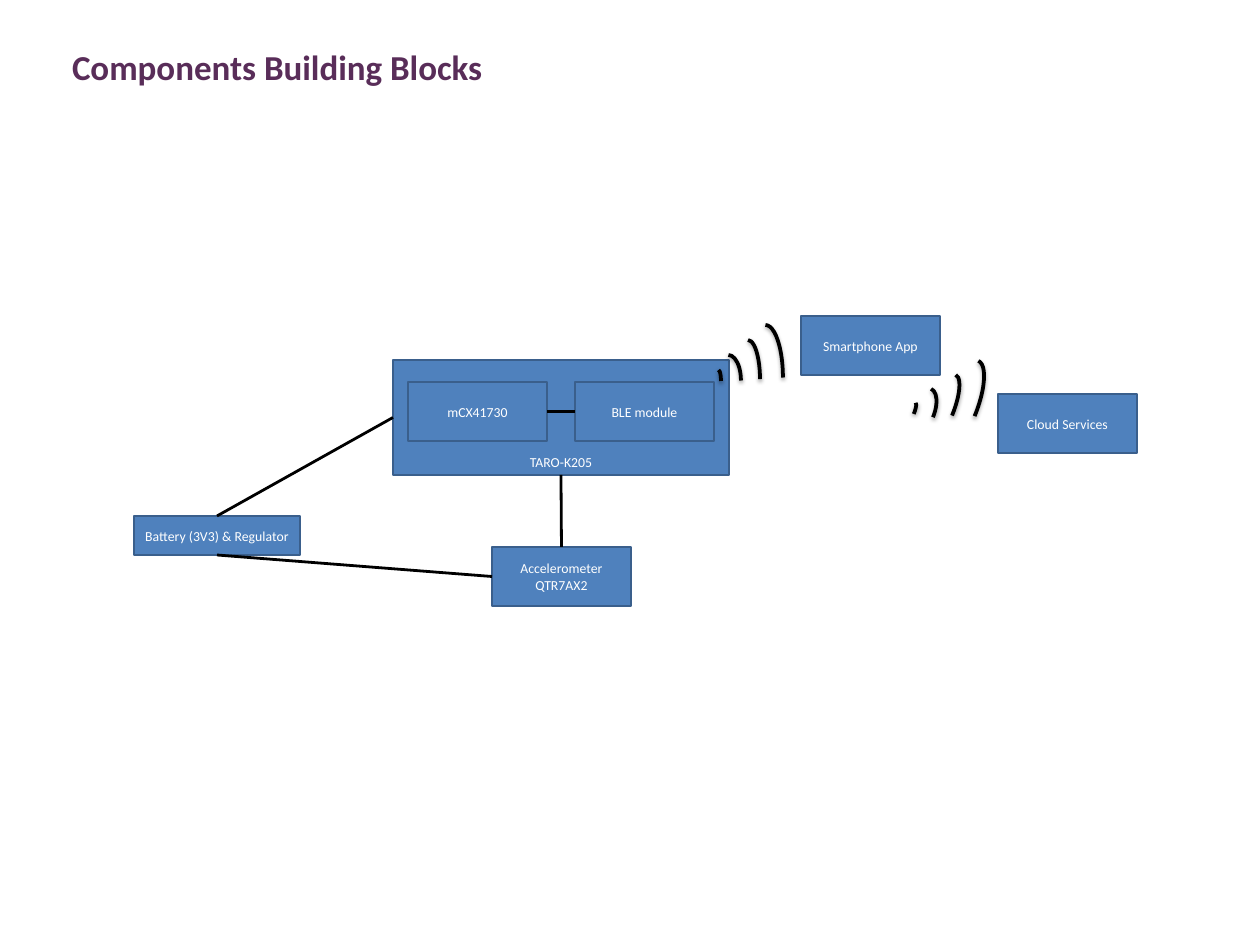
from lxml.etree import SubElement
from pptx import Presentation
from pptx.dml.color import RGBColor
from pptx.enum.shapes import MSO_CONNECTOR, MSO_SHAPE
from pptx.enum.text import MSO_ANCHOR, MSO_AUTO_SIZE, PP_ALIGN
from pptx.oxml.ns import qn
from pptx.util import Emu, Pt

PX = 914400 // 90
FONT = "Calibri"
COLORS = {
    "title": "592D59",
    "block": "4F81BD",
    "border": "3A5F8C",
    "label": "FFFFFF",
    "line": "000000",
}
BLOCK_SIZE = (139, 59)
TOP, LEFT, BOTTOM, RIGHT = range(4)
# Left, top, width and height of each arc within its signal
SIGNAL_ARCS = [(0, 45, 5, 22), (0, 30, 25, 51), (20, 15, 24, 78), (32, 0, 35, 105)]


def px(*lengths):
    return [Emu(length * PX) for length in lengths]


def color(name):
    return RGBColor.from_string(COLORS[name])


def format_text(text_frame, size, color_name, alignment, bold=False):
    for paragraph in text_frame.paragraphs:
        paragraph.alignment = alignment
        for run in paragraph.runs:
            run.font.name = FONT
            run.font.size = Pt(size)
            run.font.bold = bold
            run.font.color.rgb = color(color_name)


def add_title(slide, box, text):
    title = slide.shapes.title
    title.left, title.top, title.width, title.height = px(*box)
    text_frame = title.text_frame
    text_frame.text = text
    text_frame.word_wrap = True
    text_frame.auto_size = MSO_AUTO_SIZE.SHAPE_TO_FIT_TEXT
    text_frame.vertical_anchor = MSO_ANCHOR.TOP
    format_text(text_frame, 28, "title", PP_ALIGN.LEFT, bold=True)


def add_block(slide, box, text, anchor=MSO_ANCHOR.MIDDLE):
    block = slide.shapes.add_shape(MSO_SHAPE.RECTANGLE, *px(*box))
    block.shadow.inherit = False
    block.fill.solid()
    block.fill.fore_color.rgb = color("block")
    block.line.color.rgb = color("border")
    block.line.width = Pt(2)
    block.text_frame.text = text
    block.text_frame.word_wrap = True
    block.text_frame.vertical_anchor = anchor
    format_text(block.text_frame, 11, "label", PP_ALIGN.CENTER)
    return block


def add_link(slide, start, start_side, end, end_side):
    link = slide.shapes.add_connector(MSO_CONNECTOR.STRAIGHT, 0, 0, 0, 0)
    link.begin_connect(start, start_side)
    link.end_connect(end, end_side)
    link.line.color.rgb = color("line")
    link.line.width = Pt(2.25)
    SubElement(link._element.spPr, qn("a:effectLst"))


def add_soft_shadow(shape):
    effects = SubElement(shape._element.spPr, qn("a:effectLst"))
    shadow = SubElement(effects, qn("a:outerShdw"), blurRad="40000",
                        dist="23000", dir="5400000", rotWithShape="0")
    shade = SubElement(shadow, qn("a:srgbClr"), val=COLORS["line"])
    SubElement(shade, qn("a:alpha"), val="35000")


def add_signal(slide, left, top, rotation=0):
    for arc_left, arc_top, width, height in SIGNAL_ARCS:
        arc = slide.shapes.add_shape(
            MSO_SHAPE.ARC, *px(left + arc_left, top + arc_top, width, height))
        arc.rotation = rotation
        arc.fill.background()
        arc.line.color.rgb = color("line")
        arc.line.width = Pt(3)
        add_soft_shadow(arc)


def add_board(slide, box):
    """Main board with the processor and the radio side by side."""
    left, top, width, _ = box
    block_width, _ = BLOCK_SIZE
    inset_x, inset_y = 15, 22
    board = add_block(slide, box, "TARO-K205", MSO_ANCHOR.BOTTOM)
    processor = add_block(
        slide, (left + inset_x, top + inset_y, *BLOCK_SIZE), "mCX41730")
    radio_left = left + width - inset_x - block_width
    radio = add_block(
        slide, (radio_left, top + inset_y, *BLOCK_SIZE), "BLE module")
    add_link(slide, processor, RIGHT, radio, LEFT)
    return board


def add_diagram(slide, box):
    left, top, _, _ = box

    # Board, sensor and power supply
    board = add_board(slide, (left + 259, top + 44, 336, 115))
    sensor = add_block(
        slide, (left + 358, top + 231, *BLOCK_SIZE), "Accelerometer\nQTR7AX2")
    battery = add_block(
        slide, (left, top + 200, 166, 39), "Battery (3V3) & Regulator")
    add_link(slide, board, BOTTOM, sensor, TOP)
    add_link(slide, battery, BOTTOM, sensor, LEFT)
    add_link(slide, battery, TOP, board, LEFT)

    # Wireless side
    add_signal(slide, left + 582, top + 9)
    add_block(slide, (left + 667, top, *BLOCK_SIZE), "Smartphone App")
    add_signal(slide, left + 775, top + 41, rotation=22.3)
    add_block(slide, (left + 864, top + 78, *BLOCK_SIZE), "Cloud Services")


def main():
    presentation = Presentation()
    presentation.slide_width, presentation.slide_height = px(1260, 945)
    slide = presentation.slides.add_slide(presentation.slide_layouts[5])
    add_title(slide, (63, 41, 1122, 51), "Components Building Blocks")
    add_diagram(slide, (134, 316, 1003, 290))
    presentation.save("out.pptx")


if __name__ == "__main__":
    main()
